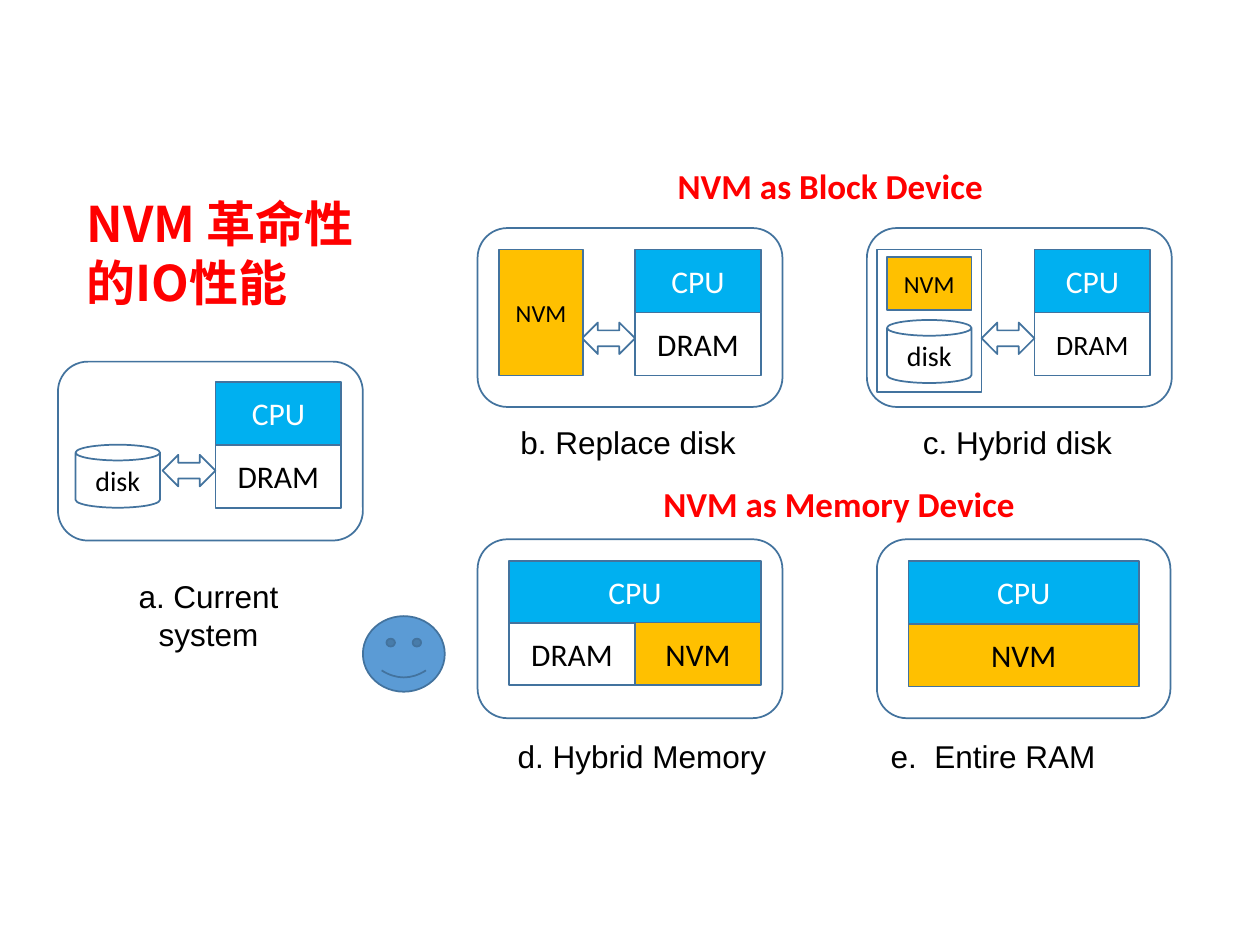
from dataclasses import dataclass

from pptx import Presentation
from pptx.dml.color import RGBColor
from pptx.enum.shapes import MSO_SHAPE
from pptx.enum.text import MSO_ANCHOR, MSO_AUTO_SIZE, PP_ALIGN
from pptx.oxml.ns import qn
from pptx.util import Inches, Pt

RECT = MSO_SHAPE.RECTANGLE
PANEL = MSO_SHAPE.ROUNDED_RECTANGLE
CAN = MSO_SHAPE.CAN
ARROW = MSO_SHAPE.LEFT_RIGHT_ARROW
SMILEY = MSO_SHAPE.SMILEY_FACE
LEFT, CENTER = PP_ALIGN.LEFT, PP_ALIGN.CENTER
TOP, MIDDLE = MSO_ANCHOR.TOP, MSO_ANCHOR.MIDDLE
NO_FIT = MSO_AUTO_SIZE.NONE


@dataclass(frozen=True)
class Theme:
    cpu: str = "00B0F0"
    nvm: str = "FFC000"
    smiley: str = "5B9BD5"
    outline: str = "43739E"
    accent: str = "FF0000"
    dark: str = "000000"
    light: str = "FFFFFF"
    label_font: str = "Calibri"
    caption_font: str = "Arial"
    title_font: str = "Noto Sans CJK SC"
    title_size: int = 28
    title_leading: int = 34
    heading_size: int = 20
    body_size: int = 18
    small_size: int = 16
    tiny_size: int = 14


theme = Theme()


def write(frame, text, font=theme.label_font, size=theme.body_size, color=theme.dark,
          bold=False, align=CENTER, anchor=MIDDLE):
    frame.word_wrap = True
    frame.auto_size = NO_FIT
    frame.vertical_anchor = anchor
    para = frame.paragraphs[0]
    para.alignment = align
    span = para.add_run()
    span.text = text
    span.font.name = font
    span.font.size = Pt(size)
    span.font.bold = bold
    span.font.color.rgb = RGBColor.from_string(color)
    return para


def draw(kind, place, fill=None, text=None, **text_format):
    shape = page.shapes.add_shape(kind, *map(Inches, place))
    shape.shadow.inherit = False
    if fill:
        shape.fill.solid()
        shape.fill.fore_color.rgb = RGBColor.from_string(fill)
    else:
        shape.fill.background()
    shape.line.color.rgb = RGBColor.from_string(theme.outline)
    shape.line.width = Pt(1)
    if text:
        write(shape.text_frame, text, **text_format)


deck = Presentation()
deck.slide_width, deck.slide_height = Inches(10), Inches(7.5)
page = deck.slides.add_slide(deck.slide_layouts[5])

title = page.shapes.title
title.left, title.top, title.width, title.height = map(Inches, (0.59, 1.48, 2.51, 1.04))
title_para = write(title.text_frame, "NVM 革命性的IO性能", font=theme.title_font,
                   size=theme.title_size, color=theme.accent, bold=True,
                   align=LEFT, anchor=TOP)
title_para.line_spacing = Pt(theme.title_leading)
title_properties = title_para.runs[0].font._element
east_asian = title_properties.makeelement(qn("a:ea"), {"typeface": theme.title_font})
title_properties.find(qn("a:latin")).addnext(east_asian)

panels = [(0.46, 2.87, 2.42), (3.79, 1.81, 2.42), (6.88, 1.81, 2.42),
          (3.79, 4.28, 2.42), (6.96, 4.28, 2.33)]
for left, top, width in panels:
    draw(PANEL, (left, top, width, 1.42))

cpu_stacks = [(1.71, 3.03, 1, theme.body_size), (5.04, 1.98, 1, theme.body_size),
              (8.21, 1.98, 0.92, theme.small_size)]
for left, top, width, dram_size in cpu_stacks:
    draw(RECT, (left, top, width, 0.5), theme.cpu, "CPU", color=theme.light)
    draw(RECT, (left, top + 0.5, width, 0.5), text="DRAM", size=dram_size)
    draw(ARROW, (left - 0.42, top + 0.58, 0.42, 0.25))

draw(RECT, (6.96, 1.98, 0.83, 1.13))
for left, top in [(0.6, 3.53), (7.04, 2.54)]:
    draw(CAN, (left, top, 0.67, 0.5), text="disk", size=theme.small_size)
for left, top, height in [(3.96, 1.98, 1), (7.04, 2.04, 0.42)]:
    draw(RECT, (left, top, 0.67, height), theme.nvm, "NVM", size=theme.tiny_size)

for left, width in [(4.04, 2), (7.21, 1.83)]:
    draw(RECT, (left, 4.45, width, 0.5), theme.cpu, "CPU", color=theme.light)
draw(RECT, (4.04, 4.94, 1, 0.5), text="DRAM")
for left, top, width in [(5.04, 4.94, 1), (7.21, 4.95, 1.83)]:
    draw(RECT, (left, top, width, 0.5), theme.nvm, "NVM")

draw(SMILEY, (2.88, 4.89, 0.65, 0.6), theme.smiley)

caption = {"font": theme.caption_font}
heading = {"size": theme.heading_size, "color": theme.accent, "bold": True}
labels = [
    ("a. Current system", (0.6, 4.53, 2.11, 0.68), caption),
    ("b. Replace disk", (3.93, 3.31, 2.11, 0.39), caption),
    ("c. Hybrid disk", (7.02, 3.31, 2.11, 0.39), caption),
    ("d. Hybrid Memory", (3.93, 5.8, 2.33, 0.4), caption),
    ("e.  Entire RAM", (6.97, 5.8, 2.32, 0.4), caption | {"align": LEFT}),
    ("NVM as Block Device", (3.88, 1.26, 5.42, 0.44), heading),
    ("NVM as Memory Device", (4.94, 3.78, 3.44, 0.44), heading),
]
for text, place, text_format in labels:
    box = page.shapes.add_textbox(*map(Inches, place))
    write(box.text_frame, text, anchor=TOP, **text_format)

deck.save("out.pptx")
